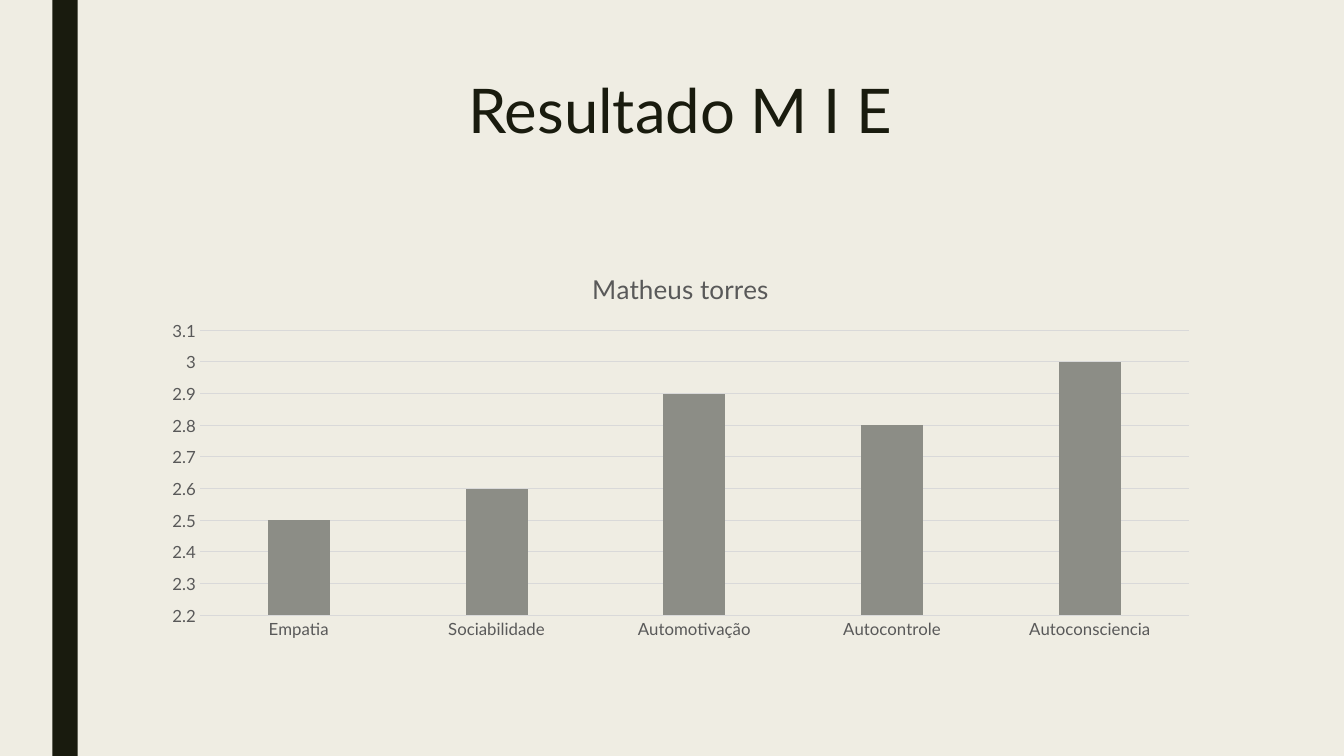
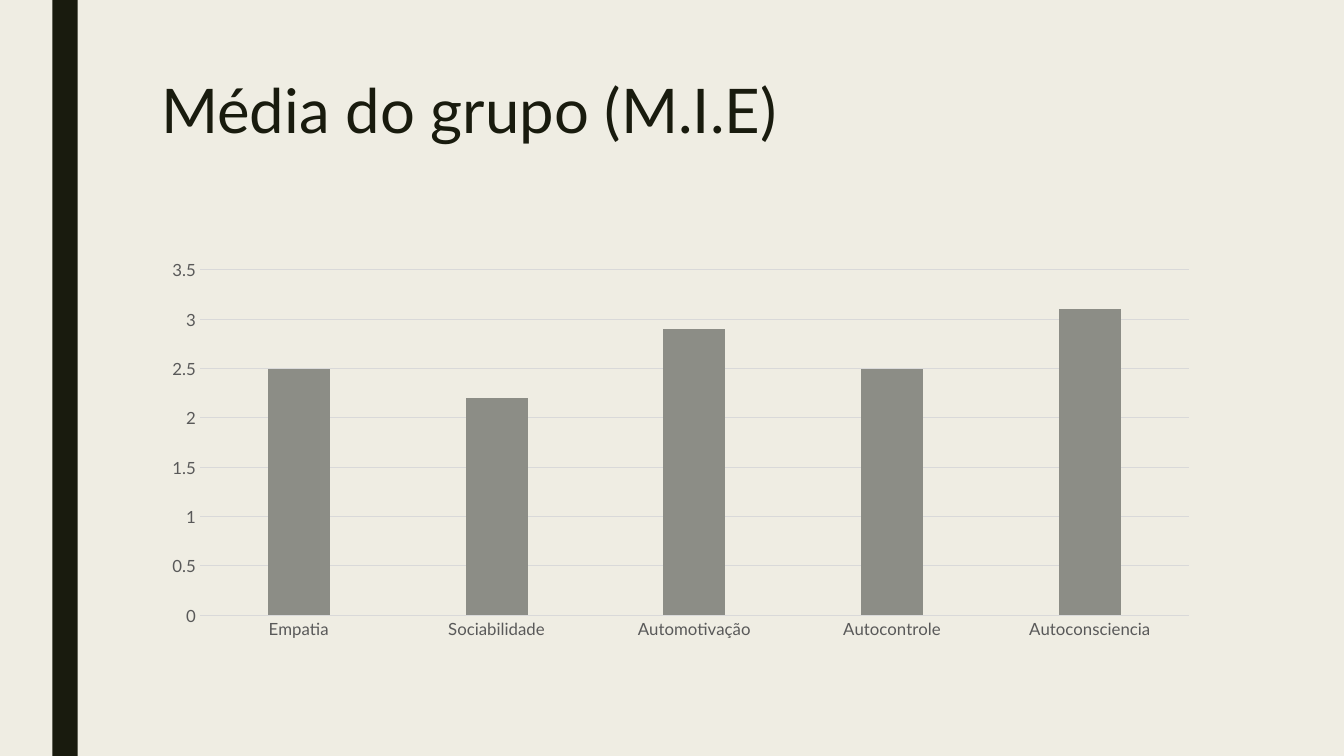
from pptx import Presentation
from pptx.chart.data import CategoryChartData
from pptx.dml.color import RGBColor
from pptx.enum.chart import XL_CHART_TYPE, XL_TICK_MARK
from pptx.enum.shapes import MSO_SHAPE
from pptx.enum.text import MSO_ANCHOR, PP_ALIGN
from pptx.util import Inches, Pt

FONT = "Lato"
BACKGROUND = "EFEDE3"
DARK = "191B0E"
BAR = "8C8D86"
LABEL = "595959"
GRID = "D9D9D9"

SLIDE_WIDTH, SLIDE_HEIGHT = 13.33, 7.5
TITLE_BOX = (1.5, 0.75, 10.5, 1.62)
CHART_BOX = (1.5, 2.5, 10.5, 3.92)
SKILLS = ["Empatia", "Sociabilidade", "Automotivação", "Autocontrole", "Autoconsciencia"]


def color(hex_value):
    return RGBColor.from_string(hex_value)


def inches(box):
    return [Inches(length) for length in box]


def style_font(font, size, hex_value):
    font.name = FONT
    font.size = Pt(size)
    font.color.rgb = color(hex_value)


def style_line(line, hex_value):
    line.color.rgb = color(hex_value)
    line.width = Pt(0.75)


def add_band(slide, box):
    band = slide.shapes.add_shape(MSO_SHAPE.RECTANGLE, *inches(box))
    band.shadow.inherit = False
    band.fill.solid()
    band.fill.fore_color.rgb = color(DARK)
    band.line.fill.background()


def add_title(slide, box, text, alignment):
    text_frame = slide.shapes.add_textbox(*inches(box)).text_frame
    text_frame.word_wrap = True
    text_frame.vertical_anchor = MSO_ANCHOR.TOP
    text_frame.text = text
    paragraph = text_frame.paragraphs[0]
    paragraph.alignment = alignment
    paragraph.line_spacing = 0.89
    style_font(paragraph.runs[0].font, 44, DARK)


def style_axes(chart, minimum, maximum, step):
    category_axis, value_axis = chart.category_axis, chart.value_axis
    for axis in (category_axis, value_axis):
        axis.major_tick_mark = XL_TICK_MARK.NONE
        axis.minor_tick_mark = XL_TICK_MARK.NONE
        style_font(axis.tick_labels.font, 12, LABEL)
    style_line(category_axis.format.line, GRID)
    value_axis.format.line.fill.background()
    value_axis.has_major_gridlines = True
    style_line(value_axis.major_gridlines.format.line, GRID)
    value_axis.minimum_scale = minimum
    value_axis.maximum_scale = maximum
    value_axis.major_unit = step


def add_column_chart(slide, box, values, scale, title):
    data = CategoryChartData()
    data.categories = SKILLS
    data.add_series("Series 1", values)
    chart = slide.shapes.add_chart(XL_CHART_TYPE.COLUMN_CLUSTERED, *inches(box), data).chart
    style_font(chart.font, 10, "000000")
    chart.has_legend = False
    chart.has_title = title is not None
    if title:
        text_frame = chart.chart_title.text_frame
        text_frame.text = title
        font = text_frame.paragraphs[0].runs[0].font
        style_font(font, 18.6, LABEL)
        font.bold = False
    style_axes(chart, *scale)

    plot = chart.plots[0]
    plot.vary_by_categories = False
    plot.gap_width = 219
    plot.overlap = -27
    fill = plot.series[0].format.fill
    fill.solid()
    fill.fore_color.rgb = color(BAR)


def add_result_slide(presentation, title, alignment, values, scale, chart_title=None):
    slide = presentation.slides.add_slide(presentation.slide_layouts[6])
    add_band(slide, (0.52, 0, 0.25, SLIDE_HEIGHT))
    add_title(slide, TITLE_BOX, title, alignment)
    add_column_chart(slide, CHART_BOX, values, scale, chart_title)


def main():
    presentation = Presentation()
    presentation.slide_width = Inches(SLIDE_WIDTH)
    presentation.slide_height = Inches(SLIDE_HEIGHT)
    background = presentation.slide_master.background.fill
    background.solid()
    background.fore_color.rgb = color(BACKGROUND)

    add_result_slide(presentation, "Resultado M I E", PP_ALIGN.CENTER,
                     [2.5, 2.6, 2.9, 2.8, 3], (2.2, 3.1, 0.1), "Matheus torres")
    add_result_slide(presentation, "Média do grupo (M.I.E)", PP_ALIGN.LEFT,
                     [2.5, 2.2, 2.9, 2.5, 3.1], (0, 3.5, 0.5))
    presentation.save("out.pptx")


if __name__ == "__main__":
    main()
